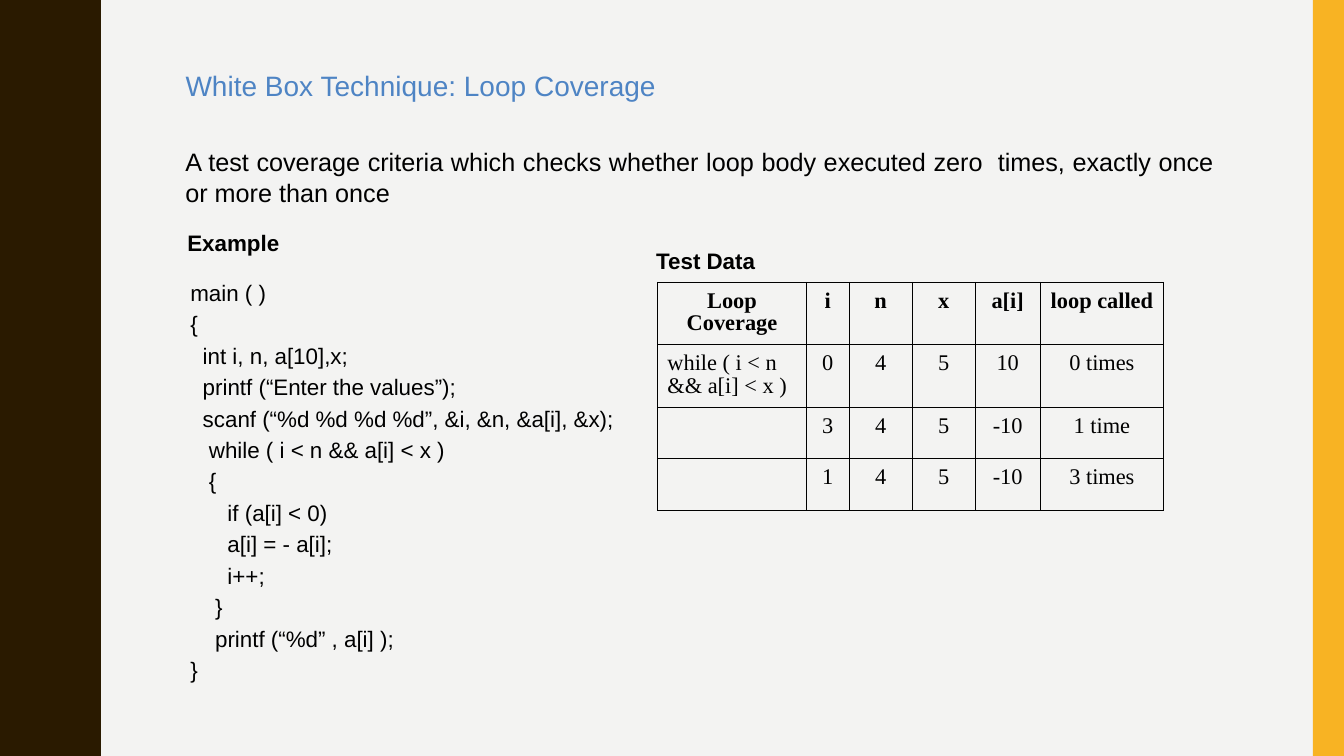
from dataclasses import dataclass

from lxml.etree import SubElement
from pptx import Presentation
from pptx.dml.color import RGBColor
from pptx.enum.shapes import MSO_SHAPE
from pptx.enum.text import MSO_ANCHOR, PP_ALIGN
from pptx.oxml.ns import qn
from pptx.util import Inches, Pt


@dataclass(frozen=True)
class Theme:
    background: str = "F3F3F2"
    wave: str = "2A1A00"
    stripe: str = "F8B323"
    heading: str = "4E84C4"
    text: str = "000000"
    sans: str = "Arial"
    serif: str = "Times New Roman"
    heading_size: int = 20
    lead_size: int = 18
    body_size: int = 16
    border_width: float = 0.45


THEME = Theme()

TITLE = "White Box Technique: Loop Coverage"
DEFINITION = (
    "A test coverage criteria which checks whether loop body executed zero  times, "
    "exactly once or more than once"
)
EXAMPLE_LABEL = "Example"
TABLE_LABEL = "Test Data"
CODE = [
    "main ( )",
    "{",
    "  int i, n, a[10],x;",
    "  printf (“Enter the values”);",
    "  scanf (“%d %d %d %d”, &i, &n, &a[i], &x);",
    "   while ( i < n && a[i] < x )",
    "   {",
    "      if (a[i] < 0)",
    "      a[i] = - a[i];",
    "      i++;",
    "    }",
    "    printf (“%d” , a[i] );",
    "}",
]
TEST_DATA = [
    ["Loop Coverage", "i", "n", "x", "a[i]", "loop called"],
    ["while ( i < n && a[i] < x )", "0", "4", "5", "10", "0 times"],
    ["", "3", "4", "5", "-10", "1 time"],
    ["", "1", "4", "5", "-10", "3 times"],
]

SLIDE_WIDTH, SLIDE_HEIGHT = 13.33, 7.5
STRIPE_WIDTH = 0.31
COLUMN_WIDTHS = [1.48, 0.42, 0.63, 0.62, 0.65, 1.22]
ROW_HEIGHTS = [0.62, 0.62, 0.51, 0.51]
WAVE_PERIOD, WAVE_COUNT = 1.5, 5
# Edge points (x, y) of the rising half of one wave; the falling half mirrors them.
RISING_EDGE = [
    (0.78, 0), (0.78, 0.07), (0.79, 0.14), (0.8, 0.2), (0.81, 0.25),
    (0.83, 0.29), (0.85, 0.33), (0.87, 0.38), (0.89, 0.42), (0.91, 0.46),
    (0.93, 0.5), (0.95, 0.55), (0.96, 0.61), (0.97, 0.68), (0.97, 0.75),
]


def paint(shape, color):
    shape.shadow.inherit = False
    shape.fill.solid()
    shape.fill.fore_color.rgb = RGBColor.from_string(color)
    shape.line.fill.background()


def add_run(paragraph, text, size, color=THEME.text, font=THEME.sans, bold=False):
    run = paragraph.add_run()
    run.text = text
    run.font.name = font
    run.font.size = Pt(size)
    run.font.bold = bold
    run.font.color.rgb = RGBColor.from_string(color)


def add_text_box(slide, left, top, width, height, wrap=True):
    """Return the text frame of a new box."""
    box = slide.shapes.add_textbox(Inches(left), Inches(top), Inches(width), Inches(height))
    box.text_frame.word_wrap = wrap
    return box.text_frame


def add_decoration(slide):
    one_wave = RISING_EDGE + [(x, WAVE_PERIOD - y) for x, y in RISING_EDGE[-2::-1]]
    edge = [
        (x, y + index * WAVE_PERIOD)
        for index in range(WAVE_COUNT)
        for x, y in one_wave
    ]
    builder = slide.shapes.build_freeform(0, 0, scale=Inches(1))
    builder.add_line_segments(edge + [(0, SLIDE_HEIGHT)], close=True)
    paint(builder.convert_to_shape(), THEME.wave)

    stripe = slide.shapes.add_shape(
        MSO_SHAPE.RECTANGLE, Inches(SLIDE_WIDTH - STRIPE_WIDTH), 0,
        Inches(STRIPE_WIDTH), Inches(SLIDE_HEIGHT),
    )
    paint(stripe, THEME.stripe)


def format_title(title):
    title.left, title.top = Inches(1.74), Inches(0.64)
    title.width, title.height = Inches(5.57), Inches(0.42)
    frame = title.text_frame
    frame.word_wrap = True
    frame.vertical_anchor = MSO_ANCHOR.MIDDLE
    paragraph = frame.paragraphs[0]
    paragraph.alignment = PP_ALIGN.LEFT
    add_run(paragraph, TITLE, THEME.heading_size, THEME.heading)


def add_definition(slide):
    frame = add_text_box(slide, 1.74, 1.4, 10.4, 0.71)
    frame.vertical_anchor = MSO_ANCHOR.MIDDLE
    paragraph = frame.paragraphs[0]
    paragraph.alignment = PP_ALIGN.JUSTIFY
    add_run(paragraph, DEFINITION, THEME.lead_size)


def add_label(slide, text, left, top, width, wrap=True):
    frame = add_text_box(slide, left, top, width, 0.37, wrap)
    add_run(frame.paragraphs[0], text, THEME.body_size, bold=True)


def add_code(slide):
    frame = add_text_box(slide, 1.79, 2.8, 4.5, 4.07)
    for index, line in enumerate(CODE):
        paragraph = frame.add_paragraph() if index else frame.paragraphs[0]
        paragraph.line_spacing = 0.65
        paragraph.space_before = Pt(10 if index else 0)
        add_run(paragraph, line, THEME.body_size)


def add_borders(cell):
    properties = cell._tc.get_or_add_tcPr()
    for side in ("lnL", "lnR", "lnT", "lnB"):
        line = SubElement(properties, qn(f"a:{side}"), w=str(Pt(THEME.border_width)))
        fill = SubElement(line, qn("a:solidFill"))
        SubElement(fill, qn("a:srgbClr"), val=THEME.text)


def add_test_data(slide):
    table = slide.shapes.add_table(
        len(ROW_HEIGHTS), len(COLUMN_WIDTHS), Inches(6.52), Inches(2.8),
        Inches(sum(COLUMN_WIDTHS)), Inches(sum(ROW_HEIGHTS)),
    ).table
    table.first_row = table.horz_banding = False
    for column, width in zip(table.columns, COLUMN_WIDTHS):
        column.width = Inches(width)
    for row, height in zip(table.rows, ROW_HEIGHTS):
        row.height = Inches(height)

    for row_index, values in enumerate(TEST_DATA):
        is_header = row_index == 0
        for column_index, value in enumerate(values):
            cell = table.cell(row_index, column_index)
            add_borders(cell)
            cell.fill.background()
            cell.margin_top = Inches(0.08)
            if not value:
                continue
            paragraph = cell.text_frame.paragraphs[0]
            paragraph.line_spacing = 0.9
            centered = is_header or column_index > 0
            paragraph.alignment = PP_ALIGN.CENTER if centered else PP_ALIGN.LEFT
            add_run(paragraph, value, THEME.body_size, font=THEME.serif, bold=is_header)


def main():
    presentation = Presentation()
    presentation.slide_width = Inches(SLIDE_WIDTH)
    presentation.slide_height = Inches(SLIDE_HEIGHT)
    slide = presentation.slides.add_slide(presentation.slide_layouts[5])
    slide.background.fill.solid()
    slide.background.fill.fore_color.rgb = RGBColor.from_string(THEME.background)

    add_decoration(slide)
    format_title(slide.shapes.title)
    add_definition(slide)
    add_label(slide, EXAMPLE_LABEL, 1.76, 2.22, 1.12, wrap=False)
    add_code(slide)
    add_test_data(slide)
    add_label(slide, TABLE_LABEL, 6.41, 2.4, 1.42)
    presentation.save("out.pptx")


if __name__ == "__main__":
    main()
